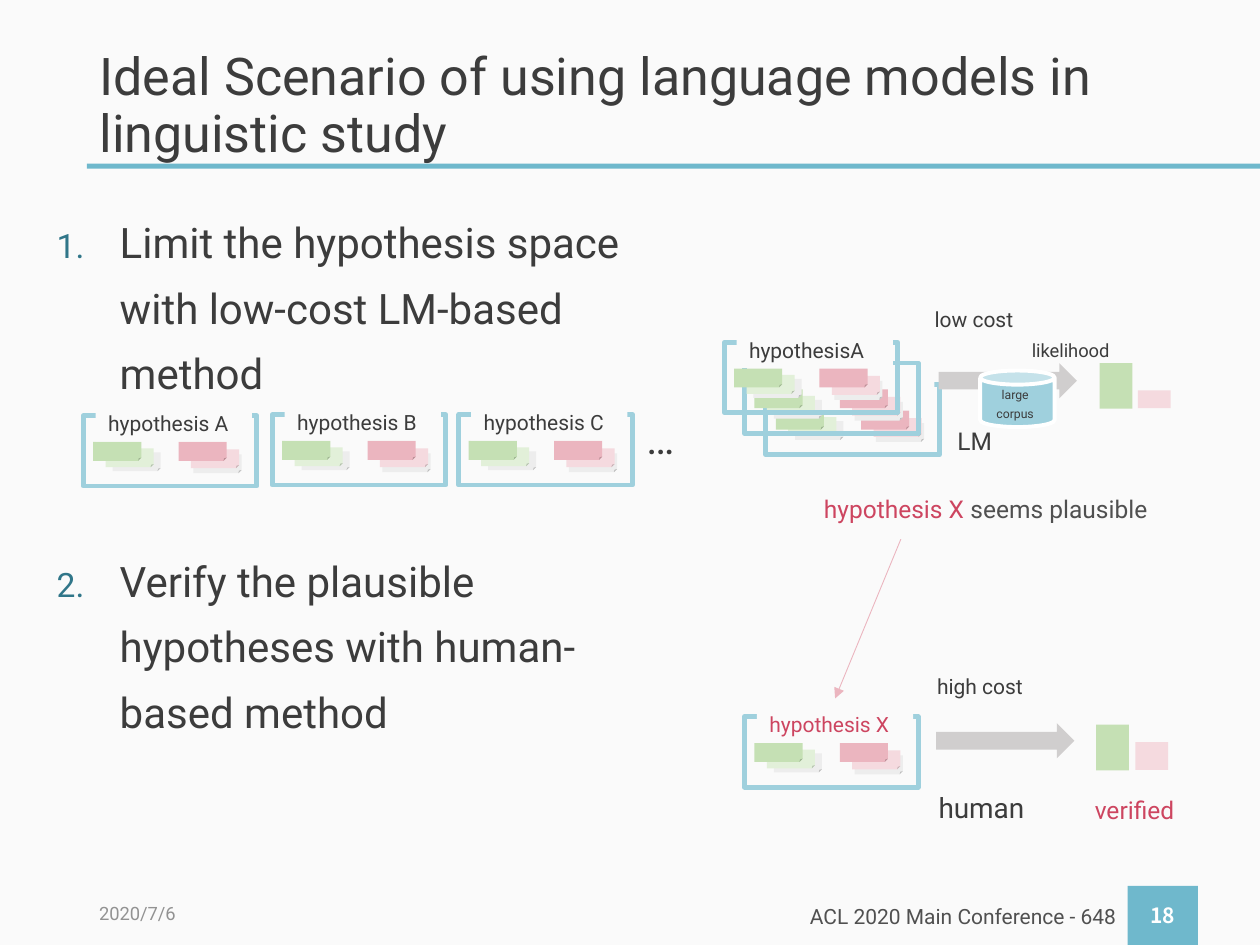
"""Build the slide on using language models in linguistic study."""
from lxml.etree import SubElement
from pptx import Presentation
from pptx.dml.color import RGBColor
from pptx.enum.shapes import MSO_CONNECTOR, MSO_SHAPE as Preset
from pptx.enum.text import MSO_ANCHOR as Anchor, MSO_AUTO_SIZE as AutoSize, PP_ALIGN as Align
from pptx.oxml.ns import qn
from pptx.util import Cm, Pt

FONT = "Roboto"
BACKGROUND = RGBColor(0xFA, 0xFA, 0xFA)
WHITE = RGBColor(0xFF, 0xFF, 0xFF)
DARK = RGBColor(0x3C, 0x3C, 0x3C)
MEDIUM = RGBColor(0x50, 0x50, 0x50)
PALE_TEXT = RGBColor(0x92, 0x92, 0x92)
TEAL = RGBColor(0x6F, 0xB8, 0xCC)
LIGHT_TEAL = RGBColor(0x9F, 0xD0, 0xDD)
DEEP_TEAL = RGBColor(0x30, 0x76, 0x89)
GRAY = RGBColor(0xED, 0xED, 0xED)
ARROW_GRAY = RGBColor(0xD0, 0xCE, 0xCE)
GREEN = RGBColor(0xC5, 0xE0, 0xB4)
LIGHT_GREEN = RGBColor(0xE2, 0xF0, 0xD9)
PINK = RGBColor(0xEB, 0xB5, 0xBF)
LIGHT_PINK = RGBColor(0xF5, 0xDA, 0xDF)
RED = RGBColor(0xCD, 0x45, 0x60)


def add_block(shapes, preset, left, top, width, height, fill=None, line=None, weight=0):
    shape = shapes.add_shape(preset, Cm(left), Cm(top), Cm(width), Cm(height))
    shape.shadow.inherit = False
    if fill is None:
        shape.fill.background()
    else:
        shape.fill.solid()
        shape.fill.fore_color.rgb = fill
    if line is None:
        shape.line.fill.background()
    else:
        shape.line.color.rgb = line
        shape.line.width = Pt(weight)
    return shape


def write(paragraph, runs, size, align=Align.LEFT, spacing=1.3, font=FONT, bold=False):
    paragraph.alignment = align
    paragraph.line_spacing = spacing
    for text, color in runs:
        if paragraph.runs and align == Align.CENTER:
            paragraph.add_line_break()
        run = paragraph.add_run()
        run.text = text
        run.font.size = Pt(size)
        run.font.name = font
        run.font.bold = bold
        run.font.color.rgb = color


presentation = Presentation()
presentation.slide_width = Cm(25.4)
presentation.slide_height = Cm(19.05)
slide = presentation.slides.add_slide(presentation.slide_layouts[1])
slide.background.fill.solid()
slide.background.fill.fore_color.rgb = BACKGROUND
shapes = slide.shapes

title = shapes.title
title.left, title.top, title.width, title.height = Cm(1.75), Cm(1.02), Cm(21.9), Cm(2.28)
title.text_frame.auto_size = AutoSize.NONE
title.text_frame.vertical_anchor = Anchor.MIDDLE
write(title.text_frame.paragraphs[0],
      [("Ideal Scenario of using language models in linguistic study", DARK)], 29.7, spacing=0.9)
add_block(shapes, Preset.RECTANGLE, 1.75, 3.3, 23.65, 0.1, TEAL)

body = slide.placeholders[1]
body.left, body.top, body.width, body.height = Cm(0.89), Cm(3.94), Cm(12.17), Cm(12.83)
body.text_frame.auto_size = AutoSize.NONE
steps = [
    ("Limit the hypothesis space with low-cost LM-based method", 0),
    ("Verify the plausible hypotheses with human-based method", 81),
]
for index, (step, space_before) in enumerate(steps):
    paragraph = body.text_frame.add_paragraph() if index else body.text_frame.paragraphs[0]
    properties = paragraph._p.get_or_add_pPr()
    properties.set("marL", str(Cm(1.27)))
    properties.set("indent", str(-Cm(1.27)))
    bullet_color = SubElement(properties, qn("a:buClr"))
    SubElement(bullet_color, qn("a:srgbClr"), val=str(DEEP_TEAL))
    SubElement(properties, qn("a:buSzPct"), val="80000")
    SubElement(properties, qn("a:buFont"), typeface=FONT)
    SubElement(properties, qn("a:buAutoNum"), type="arabicPeriod")
    paragraph.space_before = Pt(space_before)
    write(paragraph, [(step, DARK)], 24)

cards = [
    (0.59, 0.74, GRAY), (0.45, 0.66, LIGHT_GREEN), (0.2, 0.53, GREEN),
    (2.22, 0.78, GRAY), (2.17, 0.68, LIGHT_PINK), (1.92, 0.53, PINK),
]
hypotheses = [
    (15.44, 7.75, "", DARK),
    (15.01, 7.32, None, DARK),
    (14.6, 6.9, "hypothesisA", DARK),
    (1.68, 8.38, "hypothesis A", DARK),
    (5.49, 8.36, "hypothesis B", DARK),
    (9.25, 8.36, "hypothesis C", DARK),
    (15.01, 14.45, "hypothesis X", RED),
]
for left, top, name, color in hypotheses:
    group = shapes.add_group_shape()
    for right, down, fill in cards:
        add_block(group.shapes, Preset.FOLDED_CORNER, left + right, top + down, 0.97, 0.38, fill)
    add_block(group.shapes, Preset.RECTANGLE, left, top, 3.5, 1.42, line=LIGHT_TEAL, weight=2.75)
    if name is not None:
        label = add_block(group.shapes, Preset.RECTANGLE, left + 0.25, top - 0.37, 3.15, 0.89, BACKGROUND)
    if name:
        label.text_frame.vertical_anchor = Anchor.MIDDLE
        write(label.text_frame.paragraphs[0], [(name, color)], 12)

blocks = [
    (Preset.RIGHT_ARROW, 18.92, 7.32, 2.79, 0.71, ARROW_GRAY),
    (Preset.RIGHT_ARROW, 18.87, 14.58, 2.79, 0.71, ARROW_GRAY),
    (Preset.RECTANGLE, 22.17, 7.32, 0.66, 0.92, GREEN),
    (Preset.RECTANGLE, 22.94, 7.87, 0.66, 0.36, LIGHT_PINK),
    (Preset.RECTANGLE, 22.1, 14.61, 0.66, 0.92, GREEN),
    (Preset.RECTANGLE, 22.89, 14.96, 0.66, 0.56, LIGHT_PINK),
    (Preset.CAN, 19.76, 7.47, 1.5, 1.14, LIGHT_TEAL, WHITE, 2.25),
]
for block in blocks:
    add_block(shapes, *block)

captions = [
    (18.59, 5.92, 2.11, 0.89, [("low cost", DARK)], 12, Align.LEFT, 1.3, False),
    (20.55, 6.58, 2.29, 0.84, [("likelihood", DARK)], 10.5, Align.LEFT, 1.3, False),
    (19.41, 7.59, 2.11, 1.02, [("large", DARK), ("corpus", DARK)], 7, Align.CENTER, 1.3, True),
    (19.05, 8.31, 1.22, 0.99, [("LM", DARK)], 14, Align.LEFT, 1.3, False),
    (12.78, 7.92, 1.37, 1.52, [("…", DARK)], 24, Align.LEFT, 1.3, False),
    (16.36, 9.83, 7.19, 0.86, [("hypothesis X ", RED), ("seems plausible", MEDIUM)],
     14, Align.LEFT, 1, False),
    (18.64, 13.31, 2.29, 0.89, [("high cost", DARK)], 12, Align.LEFT, 1.3, False),
    (18.67, 15.62, 2.57, 1.09, [("human", DARK)], 16, Align.LEFT, 1.3, True),
    (21.82, 15.75, 2.21, 0.99, [("verified", RED)], 14, Align.LEFT, 1.3, False),
    (1.75, 18.03, 5.72, 0.76, [("2020/7/6", PALE_TEXT)], 10.5, Align.LEFT, 1, True),
    (14.17, 18.08, 8.59, 0.76, [("ACL 2020 Main Conference - 648", MEDIUM)], 12, Align.RIGHT, 1, True),
]
for left, top, width, height, runs, size, align, spacing, wrap in captions:
    caption = shapes.add_textbox(Cm(left), Cm(top), Cm(width), Cm(height))
    frame = caption.text_frame
    frame.word_wrap = wrap
    frame.auto_size = AutoSize.NONE if wrap else AutoSize.SHAPE_TO_FIT_TEXT
    frame.vertical_anchor = Anchor.MIDDLE
    write(frame.paragraphs[0], runs, size, align, spacing)

page_number = add_block(shapes, Preset.RECTANGLE, 22.73, 17.86, 1.42, 1.19, TEAL)
page_number.text_frame.vertical_anchor = Anchor.MIDDLE
write(page_number.text_frame.paragraphs[0], [("18", WHITE)], 12, Align.CENTER, 1, "Noto Sans CJK JP", True)

arrow = shapes.add_connector(MSO_CONNECTOR.STRAIGHT, Cm(18.16), Cm(10.87), Cm(16.84), Cm(14.08))
arrow.end_connect(label, 0)
arrow.line.color.rgb = PINK
arrow.line.width = Pt(0.5)
SubElement(arrow.line._get_or_add_ln(), qn("a:tailEnd"), type="triangle")
SubElement(arrow._element.spPr, qn("a:effectLst"))

presentation.save("out.pptx")
